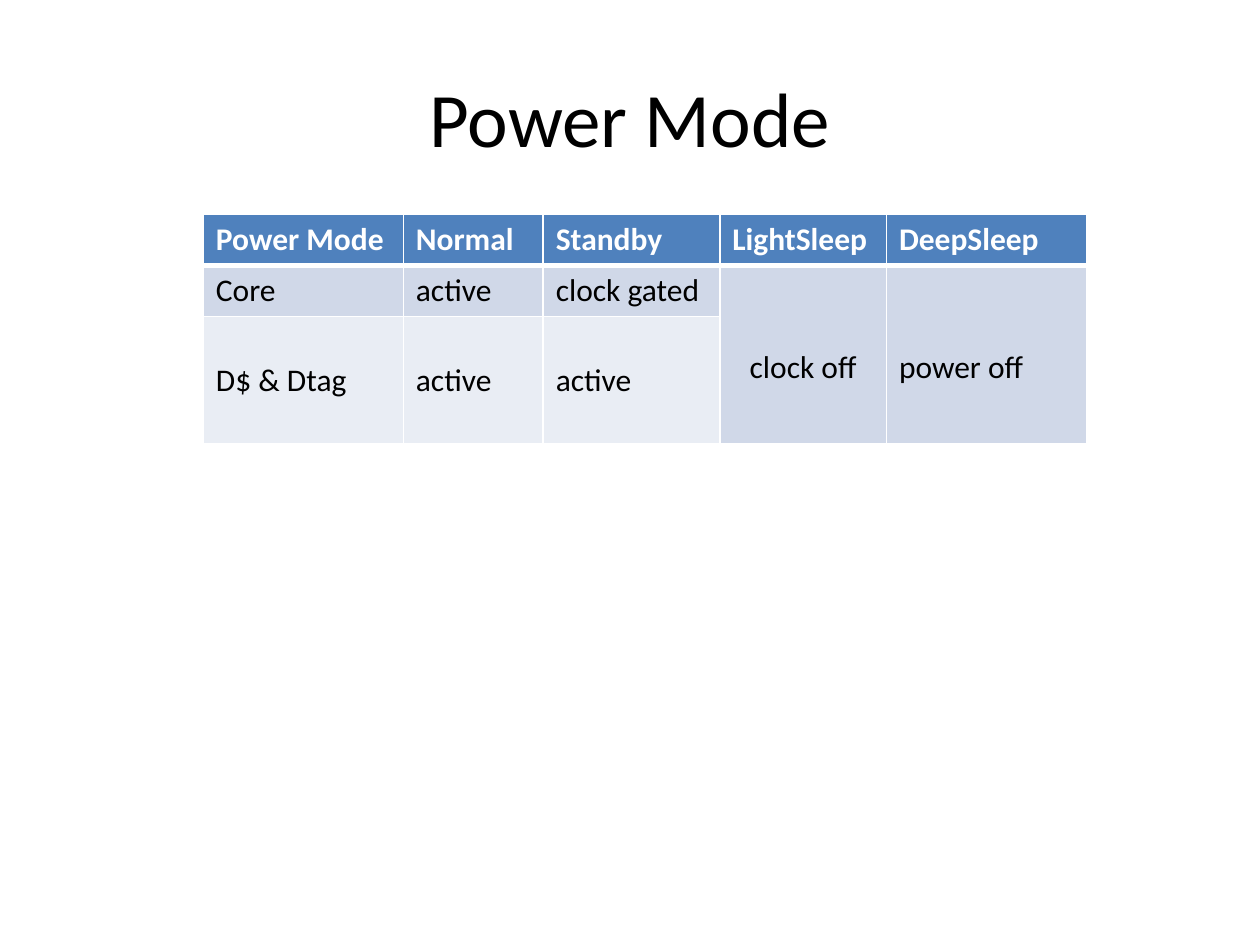
from lxml import etree
from pptx import Presentation
from pptx.dml.color import RGBColor
from pptx.enum.text import MSO_ANCHOR, PP_ALIGN
from pptx.oxml.ns import qn
from pptx.util import Cm, Pt

MIDDLE = MSO_ANCHOR.MIDDLE
CENTER = PP_ALIGN.CENTER
FONT = "Calibri"
WHITE = RGBColor(0xFF, 0xFF, 0xFF)
BLACK = RGBColor(0x00, 0x00, 0x00)
HEADER_BLUE = RGBColor(0x4F, 0x81, 0xBD)
BAND_DARK = RGBColor(0xD0, 0xD8, 0xE8)
BAND_LIGHT = RGBColor(0xE9, 0xED, 0xF4)


def style_text(para, size, color, bold=False):
    for span in para.runs:
        span.font.name = FONT
        span.font.size = Pt(size)
        span.font.color.rgb = color
        span.font.bold = bold


def add_borders(cell, widths):
    properties = cell._tc.get_or_add_tcPr()
    for position, (side, width) in enumerate(widths.items()):
        line = etree.Element(qn(f"a:{side}"), w=str(Pt(width)))
        fill = etree.SubElement(line, qn("a:solidFill"))
        etree.SubElement(fill, qn("a:srgbClr"), val=str(WHITE))
        properties.insert(position, line)


deck = Presentation()
deck.slide_width = Cm(25.4)
deck.slide_height = Cm(19.05)
page = deck.slides.add_slide(deck.slide_layouts[6])

title_box = page.shapes.add_textbox(Cm(1.27), Cm(0.76), Cm(22.86), Cm(3.18))
title_frame = title_box.text_frame
title_frame.word_wrap = True
title_frame.vertical_anchor = MIDDLE
title_frame.text = "Power Mode"
title_frame.paragraphs[0].alignment = CENTER
style_text(title_frame.paragraphs[0], 44, BLACK)

rows = [
    ["Power Mode", "Normal", "Standby", "LightSleep", "DeepSleep"],
    ["Core", "active", "clock gated", "clock off", "power off"],
    ["D$ & Dtag", "active", "active", "", ""],
]
column_widths = [4.03, 2.82, 3.56, 3.36, 4.03]
row_heights = [1.03, 1.03, 2.57]
row_fills = [HEADER_BLUE, BAND_DARK, BAND_LIGHT]

table = page.shapes.add_table(
    len(rows), len(column_widths), Cm(4.1), Cm(4.32),
    Cm(sum(column_widths)), Cm(sum(row_heights)),
).table
for column, width in zip(table.columns, column_widths):
    column.width = Cm(width)
for row, height in zip(table.rows, row_heights):
    row.height = Cm(height)

for row_index, labels in enumerate(rows):
    is_header = row_index == 0
    widths = {"lnL": 1, "lnR": 1, "lnT": 3 if row_index == 1 else 1, "lnB": 3 if is_header else 1}
    for column_index, label in enumerate(labels):
        cell = table.cell(row_index, column_index)
        cell.text_frame.text = label
        cell.vertical_anchor = MIDDLE
        cell.fill.solid()
        cell.fill.fore_color.rgb = row_fills[row_index]
        style_text(cell.text_frame.paragraphs[0], 18, WHITE if is_header else BLACK, is_header)
        add_borders(cell, widths)

for column_index in (3, 4):
    merged_cell = table.cell(1, column_index)
    merged_cell.merge(table.cell(2, column_index))
    merged_cell.margin_top = Cm(0.65)
table.cell(1, 3).text_frame.paragraphs[0].alignment = CENTER

deck.save("out.pptx")
